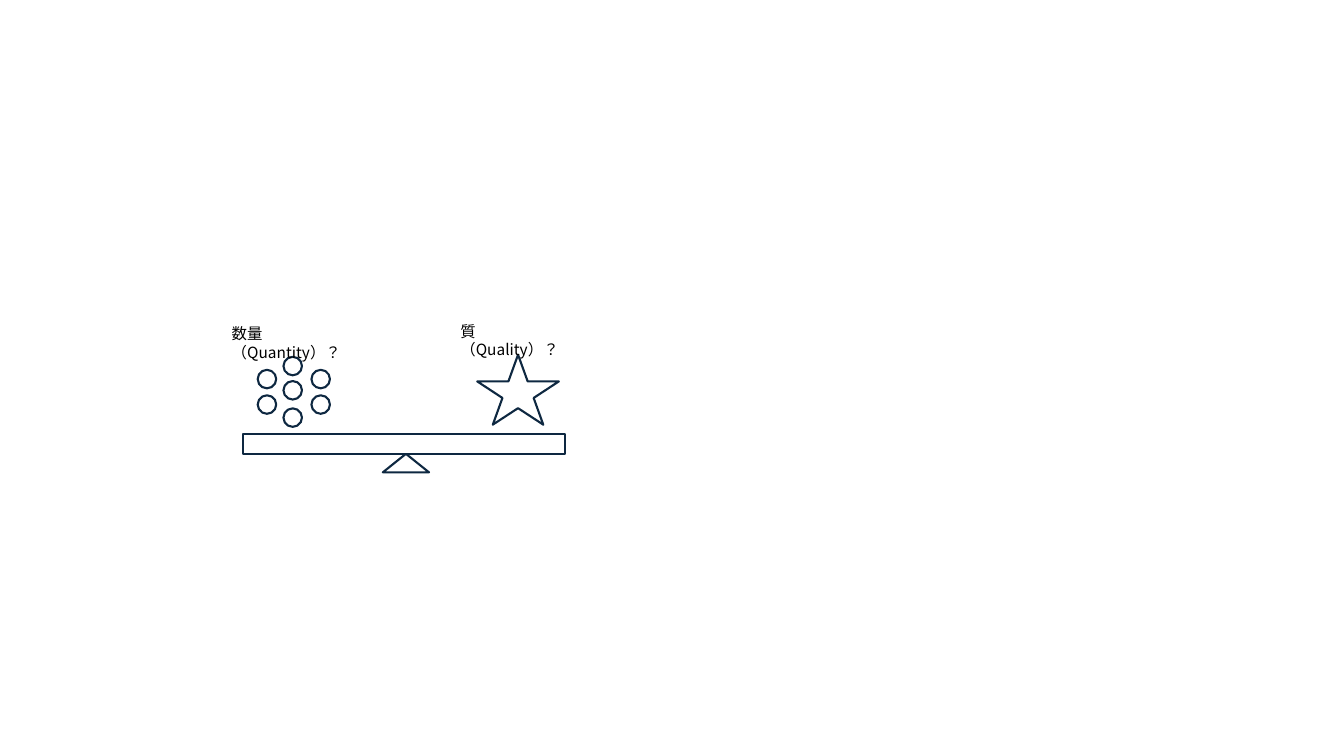
from dataclasses import dataclass, field
from itertools import product

from lxml.etree import SubElement
from pptx import Presentation
from pptx.dml.color import RGBColor
from pptx.enum.lang import MSO_LANGUAGE_ID as Language
from pptx.enum.shapes import MSO_SHAPE as Shape
from pptx.enum.text import MSO_AUTO_SIZE as AutoSize
from pptx.oxml.ns import qn
from pptx.slide import Slide
from pptx.util import Pt

COLORS = {"outline": "0E2841", "fill": "FFFFFF", "text": "000000"}


@dataclass
class BalanceSlide:
    """Hold the style and the slide, and draw each kind of element."""

    slide: Slide
    font_name: str = "Noto Sans CJK JP"
    colors: dict = field(default_factory=lambda: COLORS)

    def color(self, name):
        return RGBColor.from_string(self.colors[name])

    def outline(self, kind, left, top, width, height, filled=True):
        shape = self.slide.shapes.add_shape(kind, Pt(left), Pt(top), Pt(width), Pt(height))
        shape.shadow.inherit = False
        if filled:
            shape.fill.solid()
            shape.fill.fore_color.rgb = self.color("fill")
        else:
            shape.fill.background()
        shape.line.color.rgb = self.color("outline")
        shape.line.width = Pt(1.5)

    def circle(self, left, top, size=13.2):
        self.outline(Shape.OVAL, left, top, size, size, filled=False)

    def label(self, text, left, top, width, height=20.6):
        box = self.slide.shapes.add_textbox(Pt(left), Pt(top), Pt(width), Pt(height))
        frame = box.text_frame
        for name, value in {"word_wrap": True, "auto_size": AutoSize.NONE}.items():
            setattr(frame, name, value)
        run = frame.paragraphs[0].add_run()
        run.text = text
        formats = {"size": Pt(11), "name": self.font_name, "language_id": Language.JAPANESE}
        for name, value in formats.items():
            setattr(run.font, name, value)
        run.font.color.rgb = self.color("text")
        SubElement(run.font._element, qn("a:ea"), typeface=self.font_name)


def main():
    presentation = Presentation()
    presentation.slide_width, presentation.slide_height = Pt(960), Pt(540)
    balance = BalanceSlide(presentation.slides.add_slide(presentation.slide_layouts[6]))

    balance.outline(Shape.STAR_5_POINT, 340.9, 253.4, 58.3, 50)
    balance.outline(Shape.FLOWCHART_EXTRACT, 273.5, 324.2, 33, 13.2)
    balance.outline(Shape.RECTANGLE, 173.8, 310.1, 229.9, 14.4)
    for left, top in product((184.1, 222.5), (264.2, 282.4)):
        balance.circle(left, top)
    for top in (254.9, 272.2, 291.7):
        balance.circle(202.5, top)

    balance.label("質（Quality）？", 321.8, 226.4, 91)
    balance.label("数量（Quantity）？", 158.4, 228.2, 106)
    presentation.save("out.pptx")


if __name__ == "__main__":
    main()
